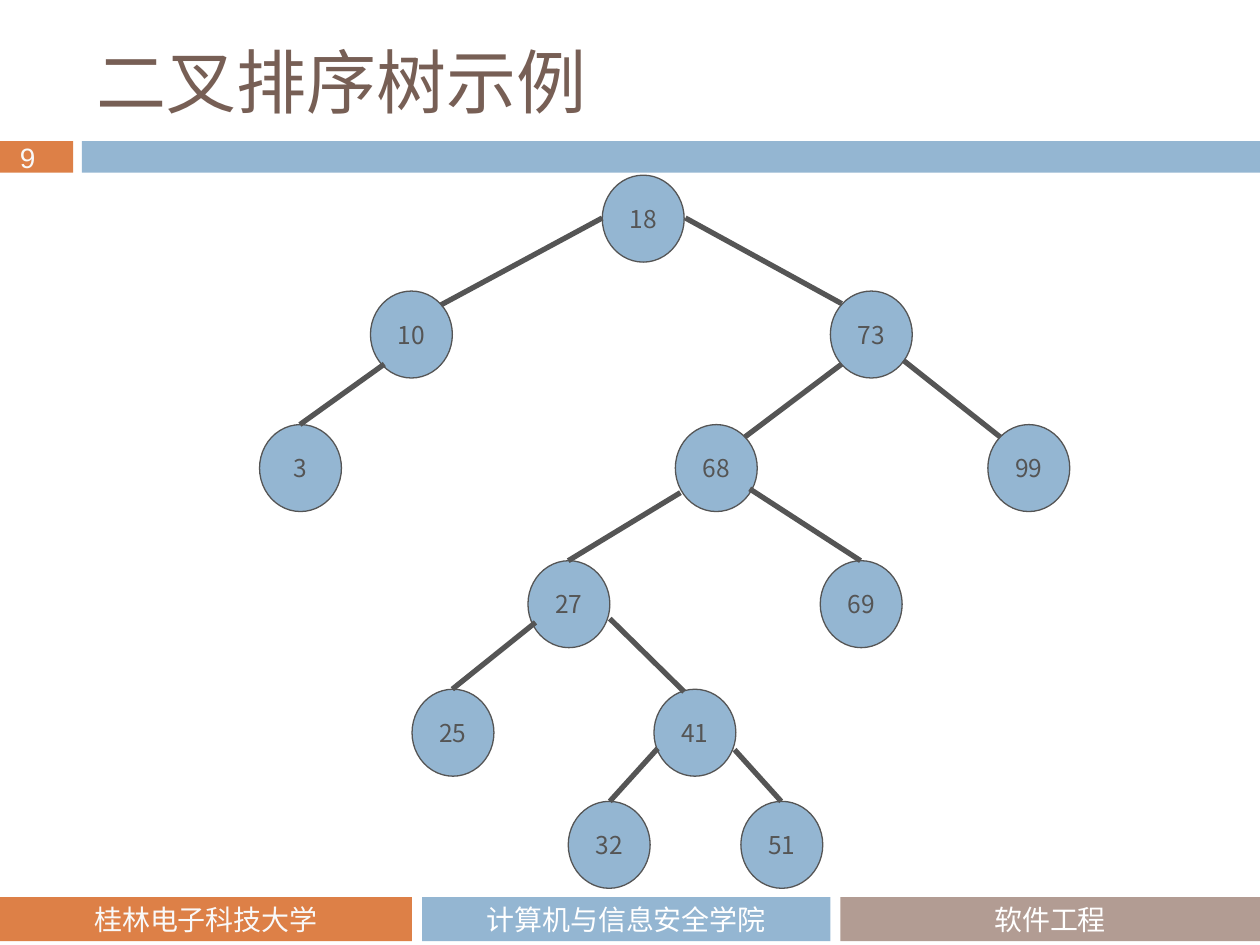
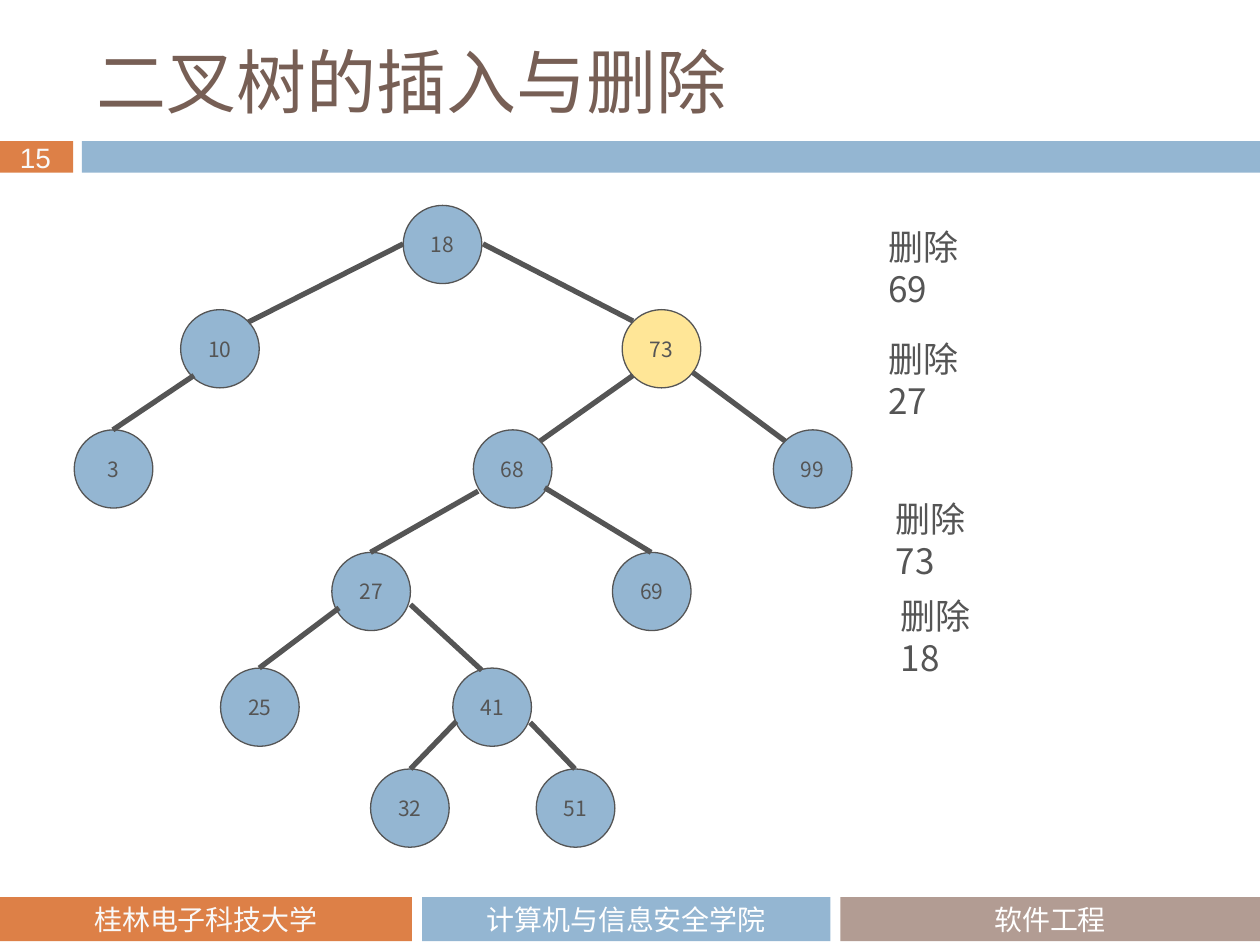
from typing import NamedTuple

from lxml.etree import SubElement
from pptx import Presentation
from pptx.dml.color import RGBColor
from pptx.enum.shapes import MSO_CONNECTOR, MSO_SHAPE
from pptx.enum.text import MSO_ANCHOR, PP_ALIGN
from pptx.oxml.ns import qn
from pptx.util import Inches, Pt

ORANGE = "DD8047"
BLUE = "94B6D2"
TAUPE = "B29C93"
BROWN = "775F55"
GRAY = "555555"
YELLOW = "FFE697"
WHITE = "FFFFFF"
OFF_WHITE = "F9F9F9"
BODY_FONT = "Noto Sans CJK SC"
TITLE_FONT = "Noto Sans CJK JP"


class TextStyle(NamedTuple):
    size: float
    font: str
    color: str
    align: PP_ALIGN = PP_ALIGN.LEFT
    east_asian: str = BODY_FONT


class Box(NamedTuple):
    left: float
    top: float
    width: float
    height: float


class Band(NamedTuple):
    box: Box
    fill: str
    text: str = ""
    color: str = WHITE


class Node(NamedTuple):
    key: int
    left: float
    level: int


class Branch(NamedTuple):
    x1: float
    y1: float
    x2: float
    y2: float


class Placement(NamedTuple):
    left: float
    top: float
    scale_x: float
    scale_y: float

    def x(self, value: float) -> float:
        return self.left + (value - ROOT_LEFT) * self.scale_x

    def y(self, value: float) -> float:
        return self.top + (value - LEVEL_TOPS[0]) * self.scale_y


class Deletion(NamedTuple):
    key: int
    left: float
    top: float


TITLE_STYLE = TextStyle(40, TITLE_FONT, BROWN, east_asian=TITLE_FONT)
PAGE_STYLE = TextStyle(16, "Arial", OFF_WHITE)
DELETION_STYLE = TextStyle(20, BODY_FONT, GRAY)

BANDS = [
    Band(Box(0, 1.12, 0.58, 0.25), ORANGE),
    Band(Box(0.65, 1.12, 9.35, 0.25), BLUE),
    Band(Box(0, 7.12, 3.27, 0.35), ORANGE, "桂林电子科技大学", OFF_WHITE),
    Band(Box(3.35, 7.12, 3.24, 0.35), BLUE, "计算机与信息安全学院"),
    Band(Box(6.67, 7.12, 3.33, 0.35), TAUPE, "软件工程"),
]

ROOT_LEFT = 4.78
LEVEL_TOPS = [1.39, 2.31, 3.37, 4.45, 5.47, 6.36]
NODE_WIDTH, NODE_HEIGHT = 0.65, 0.69
NODES = [
    Node(18, ROOT_LEFT, 0),
    Node(10, 2.94, 1),
    Node(73, 6.59, 1),
    Node(3, 2.06, 2),
    Node(68, 5.36, 2),
    Node(99, 7.84, 2),
    Node(27, 4.19, 3),
    Node(69, 6.51, 3),
    Node(25, 3.27, 4),
    Node(41, 5.19, 4),
    Node(32, 4.51, 5),
    Node(51, 5.88, 5),
]
BRANCHES = [
    Branch(4.78, 1.73, 3.5, 2.42),
    Branch(5.44, 1.73, 6.68, 2.41),
    Branch(3.05, 2.89, 2.38, 3.37),
    Branch(6.68, 2.89, 5.91, 3.47),
    Branch(7.17, 2.86, 7.94, 3.47),
    Branch(5.95, 3.88, 6.83, 4.45),
    Branch(5.4, 3.91, 4.51, 4.45),
    Branch(4.25, 4.94, 3.59, 5.47),
    Branch(4.84, 4.91, 5.43, 5.49),
    Branch(5.22, 5.94, 4.84, 6.36),
    Branch(5.83, 5.95, 6.2, 6.36),
]
FULL_SIZE = Placement(ROOT_LEFT, LEVEL_TOPS[0], 1, 1)
REDUCED = Placement(3.2, 1.63, 0.96, 0.9)

DELETIONS = [
    Deletion(69, 6.95, 1.74),
    Deletion(27, 6.95, 2.63),
    Deletion(73, 7.01, 3.9),
    Deletion(18, 7.05, 4.67),
]


def rgb(value: str) -> RGBColor:
    return RGBColor.from_string(value)


def inches(box: Box) -> list:
    return [Inches(value) for value in box]


def write(shape, text: str, style: TextStyle, wrap: bool = True,
          anchor: MSO_ANCHOR = MSO_ANCHOR.MIDDLE) -> None:
    frame = shape.text_frame
    frame.word_wrap = wrap
    frame.vertical_anchor = anchor
    paragraph = frame.paragraphs[0]
    paragraph.alignment = style.align
    run = paragraph.add_run()
    run.text = text
    run.font.size = Pt(style.size)
    run.font.name = style.font
    run.font.color.rgb = rgb(style.color)
    SubElement(run.font._element, qn("a:ea"), typeface=style.east_asian)


def add_filled(shapes, preset: MSO_SHAPE, box: Box, fill: str):
    shape = shapes.add_shape(preset, *inches(box))
    shape.shadow.inherit = False
    shape.fill.solid()
    shape.fill.fore_color.rgb = rgb(fill)
    shape.line.fill.background()
    return shape


def add_text(shapes, box: Box, text: str, style: TextStyle, wrap: bool = True,
             anchor: MSO_ANCHOR = MSO_ANCHOR.MIDDLE) -> None:
    write(shapes.add_textbox(*inches(box)), text, style, wrap, anchor)


def add_framed_slide(deck, title: str, page: int):
    slide = deck.slides.add_slide(deck.slide_layouts[6])
    for band in BANDS:
        shape = add_filled(slide.shapes, MSO_SHAPE.RECTANGLE, band.box, band.fill)
        if band.text:
            write(shape, band.text,
                  TextStyle(16, "Calibri", band.color, PP_ALIGN.CENTER))
    add_text(slide.shapes, Box(0.06, 1.06, 0.48, 0.37), str(page), PAGE_STYLE)
    add_text(slide.shapes, Box(0.67, 0.25, 8.92, 0.78), title, TITLE_STYLE)
    return slide


def draw_tree(shapes, place: Placement, key_size: float,
              highlighted: int | None = None) -> None:
    key_style = TextStyle(key_size, BODY_FONT, GRAY, PP_ALIGN.CENTER)
    for node in NODES:
        box = Box(place.x(node.left), place.y(LEVEL_TOPS[node.level]),
                  NODE_WIDTH * place.scale_x, NODE_HEIGHT * place.scale_y)
        fill = YELLOW if node.key == highlighted else BLUE
        circle = add_filled(shapes, MSO_SHAPE.OVAL, box, fill)
        circle.line.color.rgb = rgb(GRAY)
        circle.line.width = Pt(0.75)
        write(circle, str(node.key), key_style, wrap=False)
    for branch in BRANCHES:
        line = shapes.add_connector(
            MSO_CONNECTOR.STRAIGHT,
            Inches(place.x(branch.x1)), Inches(place.y(branch.y1)),
            Inches(place.x(branch.x2)), Inches(place.y(branch.y2)))
        line.line.color.rgb = rgb(GRAY)
        line.line.width = Pt(3)
        SubElement(line._element.spPr, qn("a:effectLst"))


def build_example(deck) -> None:
    slide = add_framed_slide(deck, "二叉排序树示例", 9)
    draw_tree(slide.shapes, FULL_SIZE, 14)


def build_deletion(deck) -> None:
    slide = add_framed_slide(deck, "二叉树的插入与删除", 15)
    draw_tree(slide.shapes.add_group_shape().shapes, REDUCED, 12, highlighted=73)
    for deletion in DELETIONS:
        add_text(slide.shapes, Box(deletion.left, deletion.top, 0.8, 0.44),
                 f"删除{deletion.key}", DELETION_STYLE, anchor=MSO_ANCHOR.TOP)


def main() -> None:
    deck = Presentation()
    deck.slide_width = Inches(10)
    deck.slide_height = Inches(7.5)
    build_example(deck)
    build_deletion(deck)
    deck.save("out.pptx")


if __name__ == "__main__":
    main()
